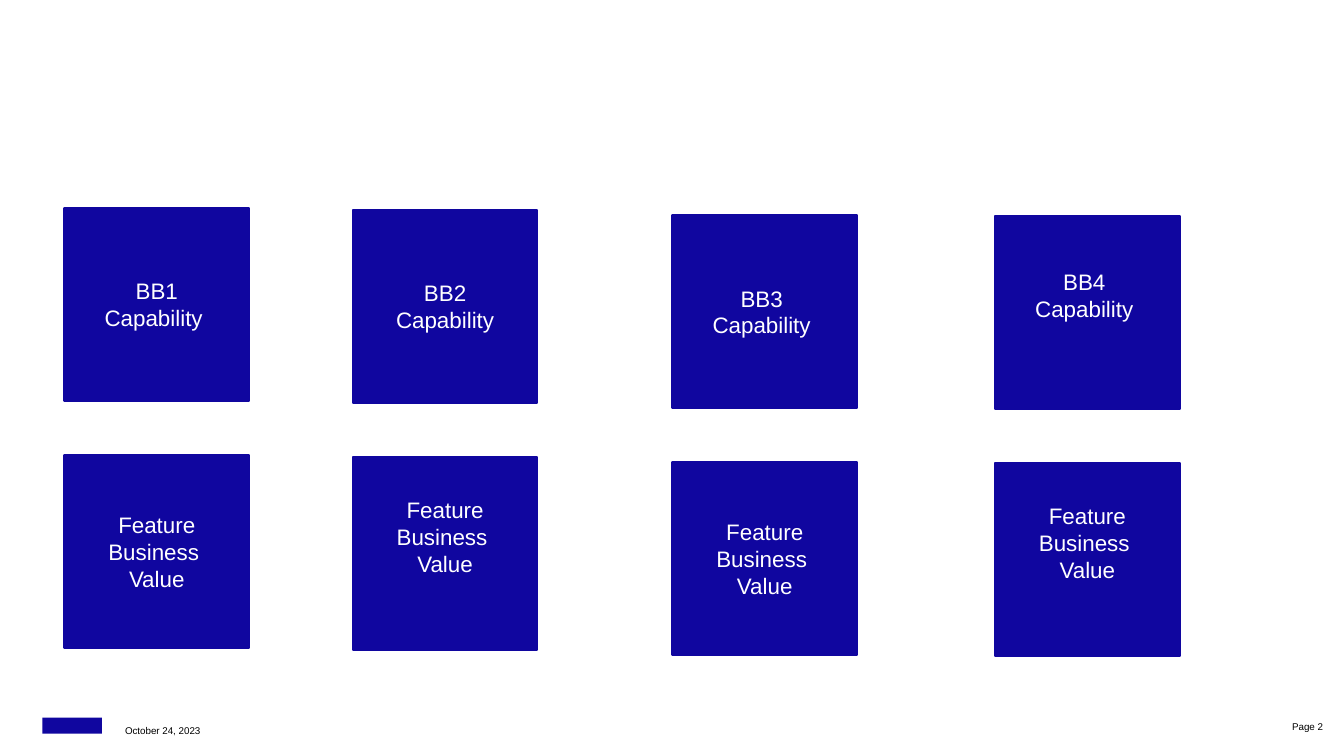
"""Build a slide of four building-block capabilities and their business value."""
import dataclasses

import pptx
import pptx.dml.color
import pptx.enum.shapes
import pptx.enum.text
import pptx.util

Inches = pptx.util.Inches
Align = pptx.enum.text.PP_ALIGN
Anchor = pptx.enum.text.MSO_ANCHOR

FEATURE = ("Feature", "Business ", "Value")
COLUMNS = [
    {"left": 0.64, "top": 2.06, "capability": ("BB1", "Capability "), "raised": (False, False)},
    {"left": 3.5, "top": 2.08, "capability": ("BB2", "Capability"), "raised": (False, True)},
    {"left": 6.67, "top": 2.13, "capability": ("BB3 ", "Capability "), "raised": (False, False)},
    {"left": 9.87, "top": 2.14, "capability": ("BB4 ", "Capability "), "raised": (True, True)},
]
BOX_WIDTH, BOX_HEIGHT, ROW_PITCH = 1.83, 1.92, 2.45
RAISED_INSET = 0.39
MARK = (0.42, 7.12, 0.59, 0.16)
FOOTERS = [
    ("October 24, 2023", (1.24, 7.13, 1.18, 0.18), Align.LEFT, Anchor.BOTTOM, 0),
    ("Page 2", (12.5, 7.13, 0.72, 0.15), Align.RIGHT, Anchor.MIDDLE, 0.1),
]


@dataclasses.dataclass(frozen=True)
class Theme:
    """Colours, font and type sizes of the slide."""

    blue: str = "10069F"
    white: str = "FFFFFF"
    black: str = "000000"
    font: str = "Arial"
    box_size: int = 16
    footer_size: int = 7
    line_width: float = 1.5


THEME = Theme()


def rgb(value):
    """Return a colour object for a hex string."""
    return pptx.dml.color.RGBColor.from_string(value)


def write(shape, lines, size, color, align, anchor):
    """Write lines as one paragraph, separated by line breaks."""
    frame = shape.text_frame
    frame.word_wrap = True
    frame.vertical_anchor = anchor
    paragraph = frame.paragraphs[0]
    paragraph.alignment = align
    for index, line in enumerate(lines):
        if index:
            paragraph.add_line_break()
        run = paragraph.add_run()
        run.text = line
        run.font.name = THEME.font
        run.font.size = pptx.util.Pt(size)
        run.font.color.rgb = rgb(color)


def add_rectangle(slide, place):
    """Add a plain blue rectangle."""
    shape = slide.shapes.add_shape(
        pptx.enum.shapes.MSO_SHAPE.RECTANGLE, *map(Inches, place))
    shape.shadow.inherit = False
    shape.fill.solid()
    shape.fill.fore_color.rgb = rgb(THEME.blue)
    shape.line.fill.background()
    return shape


def add_box(slide, place, lines, raised):
    """Add an outlined box with centred text."""
    shape = add_rectangle(slide, place)
    shape.line.color.rgb = rgb(THEME.blue)
    shape.line.width = pptx.util.Pt(THEME.line_width)
    write(shape, lines, THEME.box_size, THEME.white, Align.CENTER, Anchor.MIDDLE)
    if raised:
        shape.text_frame.margin_bottom = Inches(RAISED_INSET)


def add_footer(slide, text, place, align, anchor, inset):
    """Add one small footer text."""
    shape = slide.shapes.add_textbox(*map(Inches, place))
    frame = shape.text_frame
    frame.margin_left = frame.margin_right = Inches(inset)
    frame.margin_top = frame.margin_bottom = 0
    write(shape, [text], THEME.footer_size, THEME.black, align, anchor)


def main():
    """Build and save the presentation."""
    presentation = pptx.Presentation()
    presentation.slide_width = Inches(13.33)
    presentation.slide_height = Inches(7.5)
    slide = presentation.slides.add_slide(presentation.slide_layouts[6])
    add_rectangle(slide, MARK)
    for footer in FOOTERS:
        add_footer(slide, *footer)
    for row in range(2):
        for column in COLUMNS:
            lines = (column["capability"], FEATURE)[row]
            top = column["top"] + row * ROW_PITCH
            place = (column["left"], top, BOX_WIDTH, BOX_HEIGHT)
            add_box(slide, place, lines, column["raised"][row])
    presentation.save("out.pptx")


if __name__ == "__main__":
    main()
